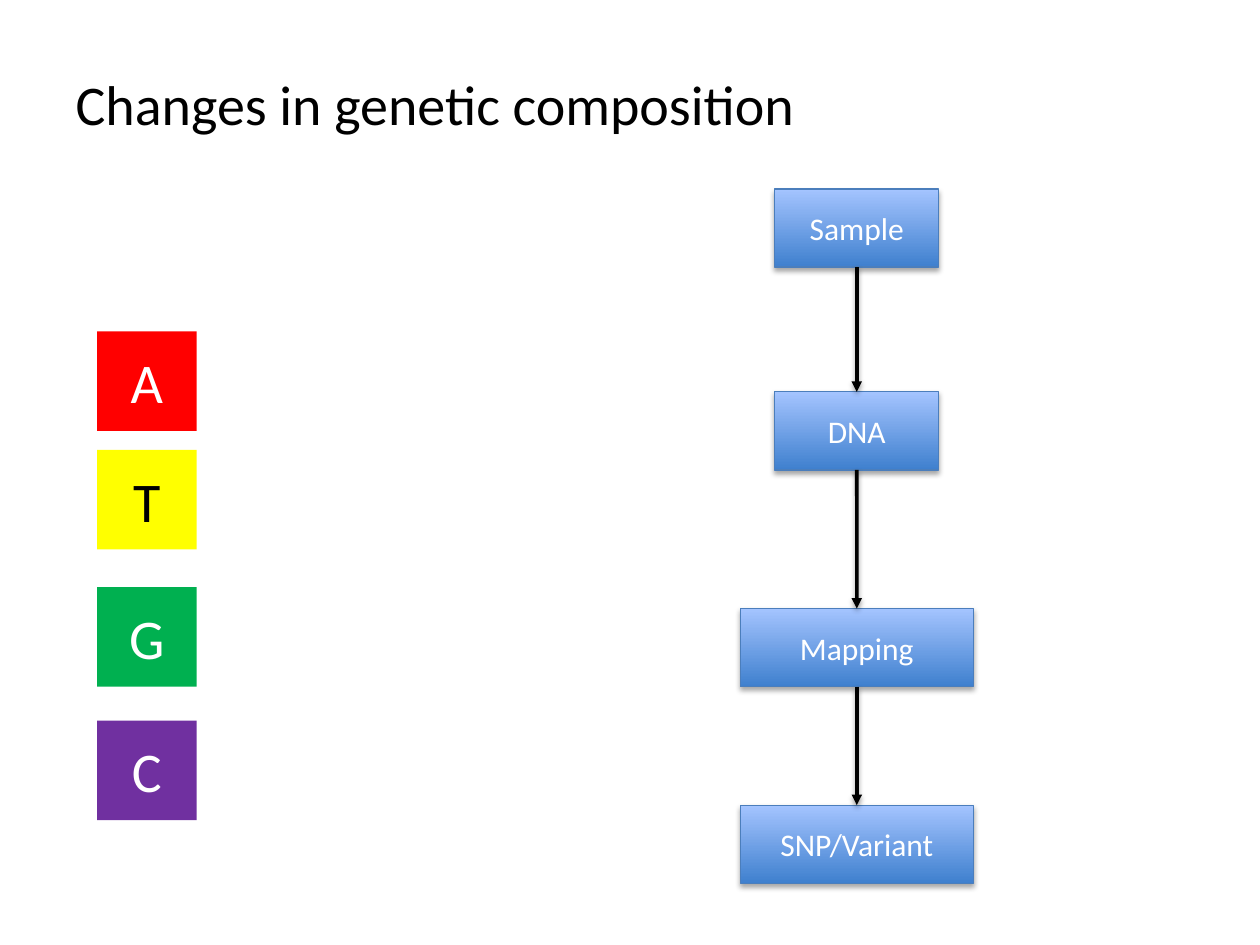
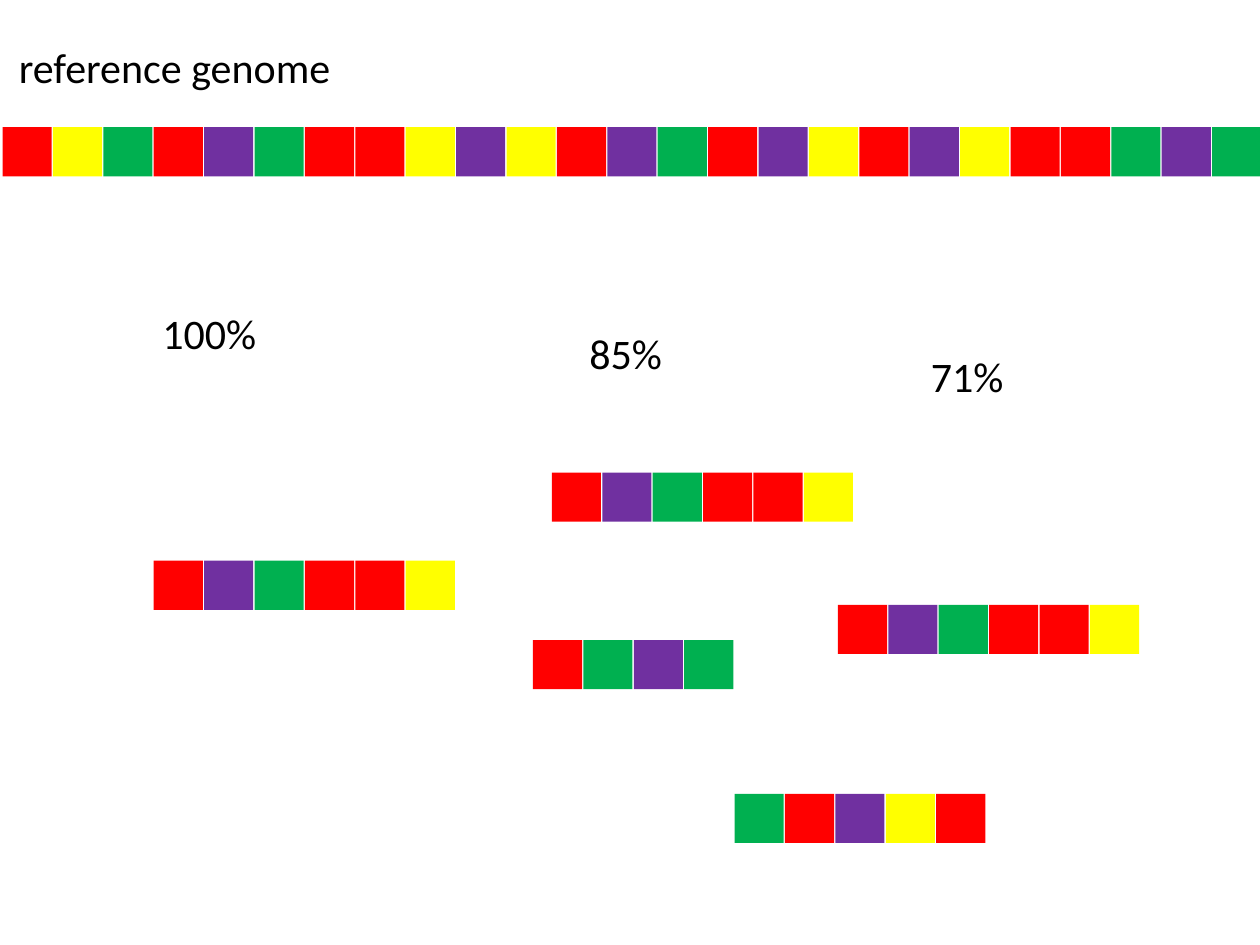
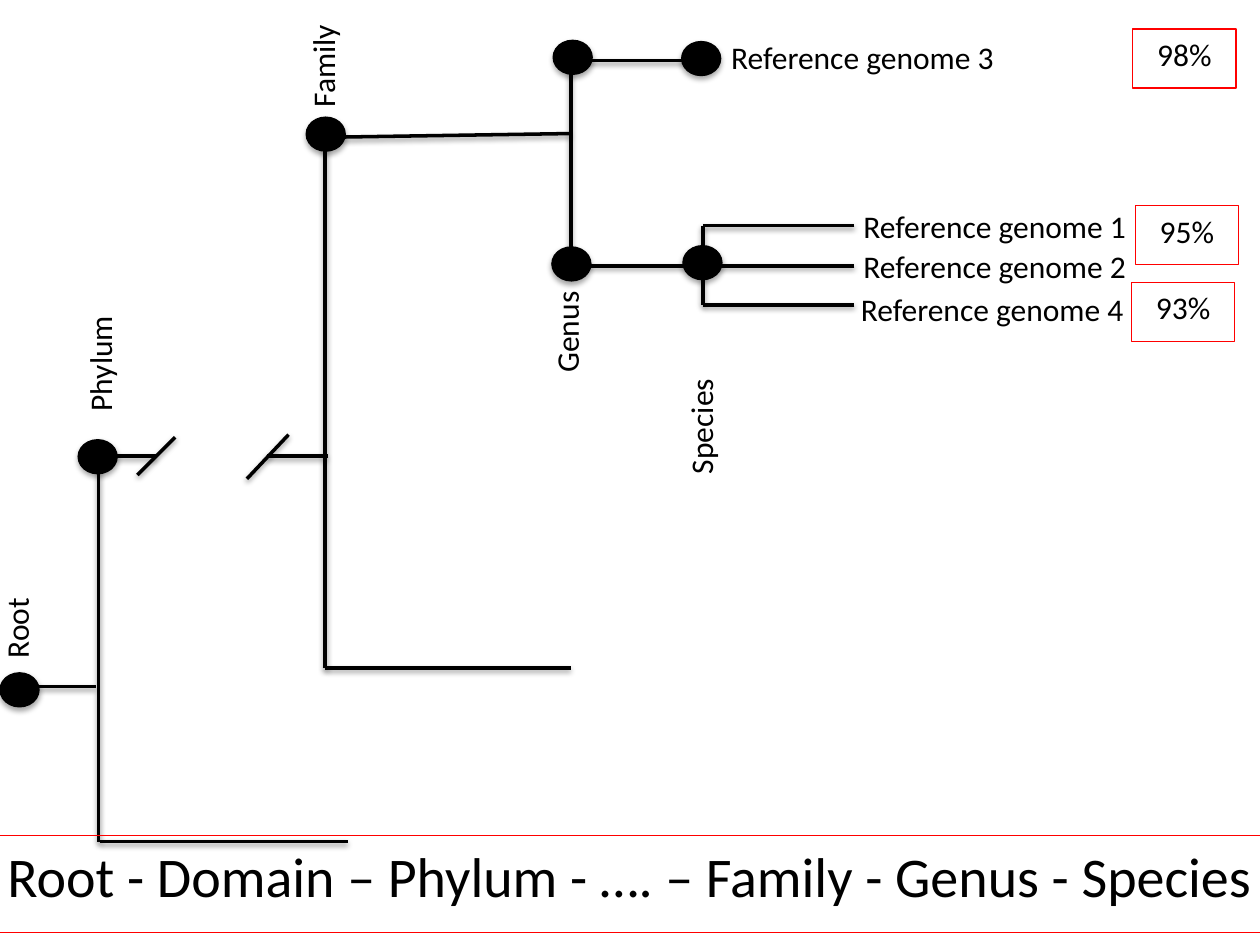
from dataclasses import dataclass

from lxml import etree
from pptx import Presentation
from pptx.dml.color import RGBColor
from pptx.enum import shapes, text
from pptx.oxml import ns
from pptx.util import Inches, Pt


@dataclass(frozen=True)
class Theme:
    font: str = "Calibri"
    ink: str = "000000"
    light: str = "FFFFFF"
    frame: str = "FF0000"
    step_edge: str = "4B7EBC"
    step_fill: tuple = ("3F80CE", "A4C4FF")
    large: int = 32
    medium: int = 24
    small: int = 18
    thick: float = 2
    thin: float = 0.75


THEME = Theme()
BASES = {"A": "FF0000", "T": "FFFF00", "G": "00B050", "C": "7030A0"}
MIDDLE, TOP = text.MSO_ANCHOR.MIDDLE, text.MSO_ANCHOR.TOP
CENTER, LEFT = text.PP_ALIGN.CENTER, text.PP_ALIGN.LEFT
RECT, OVAL = shapes.MSO_SHAPE.RECTANGLE, shapes.MSO_SHAPE.OVAL

# Slide 1: base key and workflow
WORKFLOW_TITLE = ("Changes in genetic composition", (0.5, 0.5, 9, 1.07))
KEY_LEFT, KEY_SIDE = 0.77, 0.79
KEY_TOPS = {"A": 2.63, "T": 3.57, "G": 4.66, "C": 5.72}
STEP_CENTER, STEP_HEIGHT = 6.8, 0.62
STEPS = [  # label, top, width
    ("Sample", 1.5, 1.3),
    ("DNA", 3.11, 1.3),
    ("Mapping", 4.83, 1.85),
    ("SNP/Variant", 6.39, 1.85),
]

# Slide 2: genome and reads
GENOME_TITLE = ("reference genome", (0.05, 0.28, 9, 0.73))
BASE_SIDE, BASE_PITCH = 0.39, 0.4
SEQUENCES = [  # bases, left, top
    ("ATGACGAATCTACGACTACTAAGCG", 0.02, 1.01),
    ("ACGAAT", 1.22, 4.45),
    ("GACTA", 5.83, 6.3),
    ("AGCG", 4.23, 5.08),
    ("ACGAAT", 4.38, 3.75),
    ("ACGAAT", 6.65, 4.8),
]
MATCHES = [("100%", 1.19, 2.39), ("85%", 4.58, 2.55), ("71%", 7.29, 2.73)]
MATCH_SIZE = (1.14, 0.73)

# Slide 3: taxonomy tree
BRANCHES = [  # x1, y1, x2, y2
    (0.08, 5.45, 0.76, 5.45),
    (0.78, 3.62, 0.78, 6.68),
    (0.79, 6.68, 2.76, 6.68),
    (0.76, 3.62, 1.24, 3.62),
    (1.09, 3.77, 1.39, 3.47),
    (1.96, 3.8, 2.29, 3.45),
    (2.12, 3.62, 2.6, 3.62),
    (2.58, 1.09, 2.58, 5.3),
    (2.58, 1.09, 4.53, 1.06),
    (2.58, 5.3, 4.53, 5.3),
    (4.53, 0.47, 4.53, 2.11),
    (4.53, 0.48, 5.58, 0.48),
    (4.53, 2.11, 5.58, 2.11),
    (5.58, 1.79, 5.58, 2.42),
    *[(6.78, y, 5.58, y) for y in (1.79, 2.11, 2.42)],
]
NODE_SIZE = (0.31, 0.27)
NODES = [(0, 5.34), (0.62, 3.49), (2.43, 0.93), (4.39, 0.32),
         (4.38, 1.96), (5.41, 0.33), (5.42, 1.95)]
LABEL_HEIGHT = 0.47
GENOMES = [("Reference genome 1", 6.69, 1.59), ("Reference genome 2", 6.69, 1.91),
           ("Reference genome 3", 5.64, 0.25), ("Reference genome 4", 6.67, 2.25)]
GENOME_WIDTH = 2.41
RANKS = [  # label, left, top, width before turning
    ("Root", -1.04, 4.75, 2.41),
    ("Phylum", 0.32, 2.65, 1.01),
    ("Family", 2.09, 0.29, 1.01),
    ("Genus", 4.09, 2.4, 0.88),
    ("Species", 4.39, 3.15, 2.41),
]
SCORES = [("98%", 8.99, 0.23), ("95%", 9.01, 1.63), ("93%", 8.98, 2.24)]
SCORE_WIDTH = 0.82
LINEAGE = ("Root - Domain – Phylum - …. – Family - Genus - Species",
           (-0.12, 6.63, 10.24, 0.77))


def rgb(code):
    return RGBColor.from_string(code)


def write(shape, words, size=THEME.small, color=THEME.ink, align=CENTER, anchor=TOP):
    frame = shape.text_frame
    frame.word_wrap = True
    frame.auto_size = text.MSO_AUTO_SIZE.NONE
    frame.vertical_anchor = anchor
    paragraph = frame.paragraphs[0]
    paragraph.text = words
    paragraph.alignment = align
    font = paragraph.font
    font.name, font.size, font.color.rgb = THEME.font, Pt(size), rgb(color)


def add_shape(parent, preset, box, fill=None, line=None):
    shape = parent.shapes.add_shape(preset, *map(Inches, box))
    shape.shadow.inherit = False
    if fill:
        shape.fill.solid()
        shape.fill.fore_color.rgb = rgb(fill)
    else:
        shape.fill.background()
    if line:
        shape.line.color.rgb = rgb(line)
        shape.line.width = Pt(THEME.thin)
    else:
        shape.line.fill.background()
    return shape


def add_label(slide, words, box, turned=False, **style):
    label = slide.shapes.add_textbox(*map(Inches, box))
    label.rotation = 270 if turned else 0
    write(label, words, **style)


def drop_shadow(shape, distance=1.8, opacity=35):
    properties = shape._element.spPr
    effects = properties.find(ns.qn("a:effectLst"))
    if effects is None:
        effects = etree.SubElement(properties, ns.qn("a:effectLst"))
    shadow = etree.SubElement(effects, ns.qn("a:outerShdw"), blurRad=str(Pt(3.1)),
                              dist=str(Pt(distance)), dir="5400000", rotWithShape="0")
    color = etree.SubElement(shadow, ns.qn("a:srgbClr"), val=THEME.ink)
    etree.SubElement(color, ns.qn("a:alpha"), val=str(opacity * 1000))


def add_line(slide, ends, arrow=False):
    line = slide.shapes.add_connector(shapes.MSO_CONNECTOR.STRAIGHT, *map(Inches, ends))
    line.line.color.rgb = rgb(THEME.ink)
    line.line.width = Pt(THEME.thick)
    if arrow:
        etree.SubElement(line.line._get_or_add_ln(), ns.qn("a:tailEnd"), type="triangle")
    drop_shadow(line, distance=1.6, opacity=38)
    return line


def add_titled_slide(deck, title, size):
    words, box = title
    slide = deck.slides.add_slide(deck.slide_layouts.get_by_name("Title Only"))
    heading = slide.shapes.title
    heading.left, heading.top, heading.width, heading.height = map(Inches, box)
    write(heading, words, size=size, align=LEFT)
    return slide


def add_step(slide, label, top, width):
    box = (STEP_CENTER - width / 2, top, width, STEP_HEIGHT)
    step = add_shape(slide, RECT, box, line=THEME.step_edge)
    step.fill.gradient()
    step.fill.gradient_angle = 90
    for stop, color in zip(step.fill.gradient_stops, THEME.step_fill):
        stop.color.rgb = rgb(color)
    drop_shadow(step)
    write(step, label, color=THEME.light, anchor=MIDDLE)
    return step


def build_workflow(deck):
    slide = add_titled_slide(deck, WORKFLOW_TITLE, THEME.large)
    for base, top in KEY_TOPS.items():
        tile = add_shape(slide, RECT, (KEY_LEFT, top, KEY_SIDE, KEY_SIDE), BASES[base])
        write(tile, base, size=THEME.large, anchor=MIDDLE,
              color=THEME.ink if base == "T" else THEME.light)
    steps = [add_step(slide, *step) for step in STEPS]
    for upper, lower in zip(steps, steps[1:]):
        arrow = add_line(slide, (0, 0, 0, 0), arrow=True)
        arrow.begin_connect(upper, 2)
        arrow.end_connect(lower, 0)


def build_alignment(deck):
    slide = add_titled_slide(deck, GENOME_TITLE, THEME.medium)
    for bases, left, top in SEQUENCES:
        strand = slide.shapes.add_group_shape()
        for place, base in enumerate(bases):
            box = (left + place * BASE_PITCH, top, BASE_SIDE, BASE_SIDE)
            add_shape(strand, RECT, box, BASES[base])
    for match, left, top in MATCHES:
        add_label(slide, match, (left, top, *MATCH_SIZE), size=THEME.medium, align=LEFT)


def build_tree(deck):
    slide = deck.slides.add_slide(deck.slide_layouts.get_by_name("Blank"))
    for branch in BRANCHES:
        add_line(slide, branch)
    for corner in NODES:
        drop_shadow(add_shape(slide, OVAL, (*corner, *NODE_SIZE), THEME.ink, THEME.ink))
    for genome, left, top in GENOMES:
        add_label(slide, genome, (left, top, GENOME_WIDTH, LABEL_HEIGHT))
    for rank, *box in RANKS:
        add_label(slide, rank, (*box, LABEL_HEIGHT), turned=True)
    for score, left, top in SCORES:
        box = (left, top, SCORE_WIDTH, LABEL_HEIGHT)
        write(add_shape(slide, RECT, box, line=THEME.frame), score)
    words, box = LINEAGE
    write(add_shape(slide, RECT, box, line=THEME.frame), words, size=THEME.large)


def main():
    deck = Presentation()
    deck.slide_width, deck.slide_height = Inches(10), Inches(7.5)
    build_workflow(deck)
    build_alignment(deck)
    build_tree(deck)
    deck.save("out.pptx")


if __name__ == "__main__":
    main()
